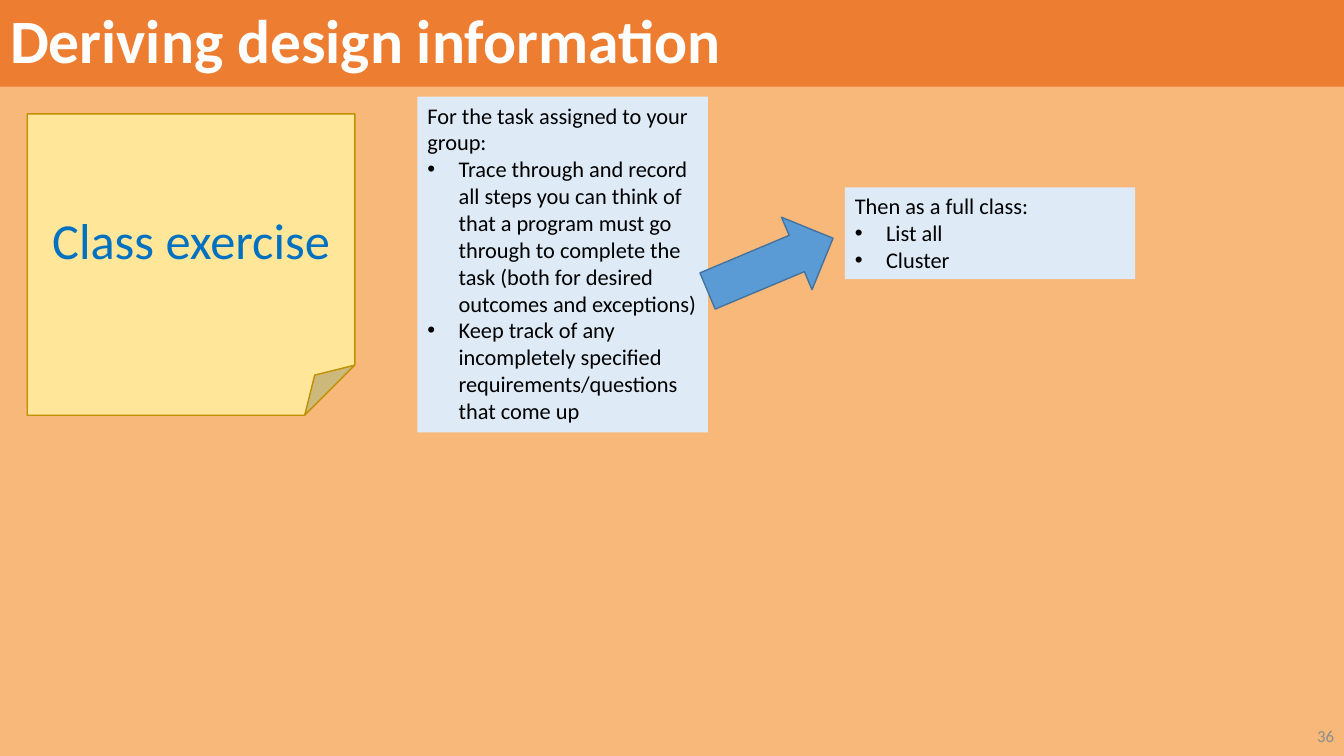
from lxml import etree
from pptx import Presentation
from pptx.dml.color import RGBColor
from pptx.enum import shapes, text
from pptx.oxml.ns import qn
from pptx.util import Inches, Pt

COLORS = {
    "background": "F7B879", "banner": "ED7D31", "white": "FFFFFF",
    "number": "8C8C8C", "panel": "DEEBF7", "black": "000000",
    "note": "FFE699", "note_edge": "BF9000", "note_text": "0070C0",
    "arrow": "5B9BD5", "arrow_edge": "43739E",
}
FONT = "Calibri"
HEADING = "Deriving design information"
NOTE = "Class exercise"
PAGE = "36"
PANEL_WIDTH = 2.88
PANELS = [
    {"at": (4.14, 0.96), "height": 3.33,
     "intro": "For the task assigned to your group:",
     "bullets": [
         "Trace through and record all steps you can think of that a program must go "
         "through to complete the task (both for desired outcomes and exceptions)",
         "Keep track of any incompletely specified requirements/questions that come up",
     ]},
    {"at": (8.38, 1.86), "height": 0.91,
     "intro": "Then as a full class:",
     "bullets": ["List all", "Cluster"]},
]


def color(name):
    return RGBColor.from_string(COLORS[name])


def write(frame, lines, size, ink, bold=False, align=text.PP_ALIGN.LEFT,
          anchor=text.MSO_ANCHOR.MIDDLE, bulleted_from=None, spacing=None):
    frame.word_wrap = True
    frame.vertical_anchor = anchor
    for index, line in enumerate(lines):
        paragraph = frame.paragraphs[0] if index == 0 else frame.add_paragraph()
        paragraph.alignment = align
        if spacing:
            paragraph.line_spacing = spacing
        if bulleted_from is not None and index >= bulleted_from:
            properties = paragraph._p.get_or_add_pPr()
            indent = Inches(0.31)
            properties.set("marL", str(indent))
            properties.set("indent", str(-indent))
            etree.SubElement(properties, qn("a:buFont")).set("typeface", "Arial")
            etree.SubElement(properties, qn("a:buChar")).set("char", "•")
        run = paragraph.add_run()
        run.text = line
        run.font.name = FONT
        run.font.size = Pt(size)
        run.font.bold = bold
        run.font.color.rgb = color(ink)


def add_block(slide, preset, box, fill, edge=None):
    block = slide.shapes.add_shape(preset, *map(Inches, box))
    block.shadow.inherit = False
    block.fill.solid()
    block.fill.fore_color.rgb = color(fill)
    if edge:
        block.line.color.rgb = color(edge)
        block.line.width = Pt(1)
    else:
        block.line.fill.background()
    return block


def main():
    deck = Presentation()
    deck.slide_width, deck.slide_height = Inches(13.33), Inches(7.5)
    slide = deck.slides.add_slide(deck.slide_layouts[5])
    slide.background.fill.solid()
    slide.background.fill.fore_color.rgb = color("background")

    title = slide.shapes.title
    title.left, title.top = Inches(0), Inches(0)
    title.width, title.height = Inches(13.33), Inches(0.86)
    title.fill.solid()
    title.fill.fore_color.rgb = color("banner")
    title.text_frame.auto_size = text.MSO_AUTO_SIZE.NONE
    write(title.text_frame, [HEADING], 44, "white", bold=True, spacing=0.9)

    number = slide.shapes.add_textbox(*map(Inches, (10.33, 7.1, 3, 0.4)))
    write(number.text_frame, [PAGE], 12, "number", align=text.PP_ALIGN.RIGHT)

    for content in PANELS:
        panel = add_block(slide, shapes.MSO_SHAPE.RECTANGLE,
                          (*content["at"], PANEL_WIDTH, content["height"]), "panel")
        write(panel.text_frame, [content["intro"], *content["bullets"]], 16, "black",
              anchor=text.MSO_ANCHOR.TOP, bulleted_from=1)
        panel.text_frame.auto_size = text.MSO_AUTO_SIZE.SHAPE_TO_FIT_TEXT

    note = add_block(slide, shapes.MSO_SHAPE.FOLDED_CORNER,
                     (0.27, 1.13, 3.25, 2.99), "note", "note_edge")
    write(note.text_frame, [NOTE], 36, "note_text", align=text.PP_ALIGN.CENTER)

    arrow = add_block(slide, shapes.MSO_SHAPE.DOWN_ARROW,
                      (7.25, 1.95, 0.78, 1.35), "arrow", "arrow_edge")
    arrow.rotation = 247.2

    deck.save("out.pptx")


if __name__ == "__main__":
    main()
